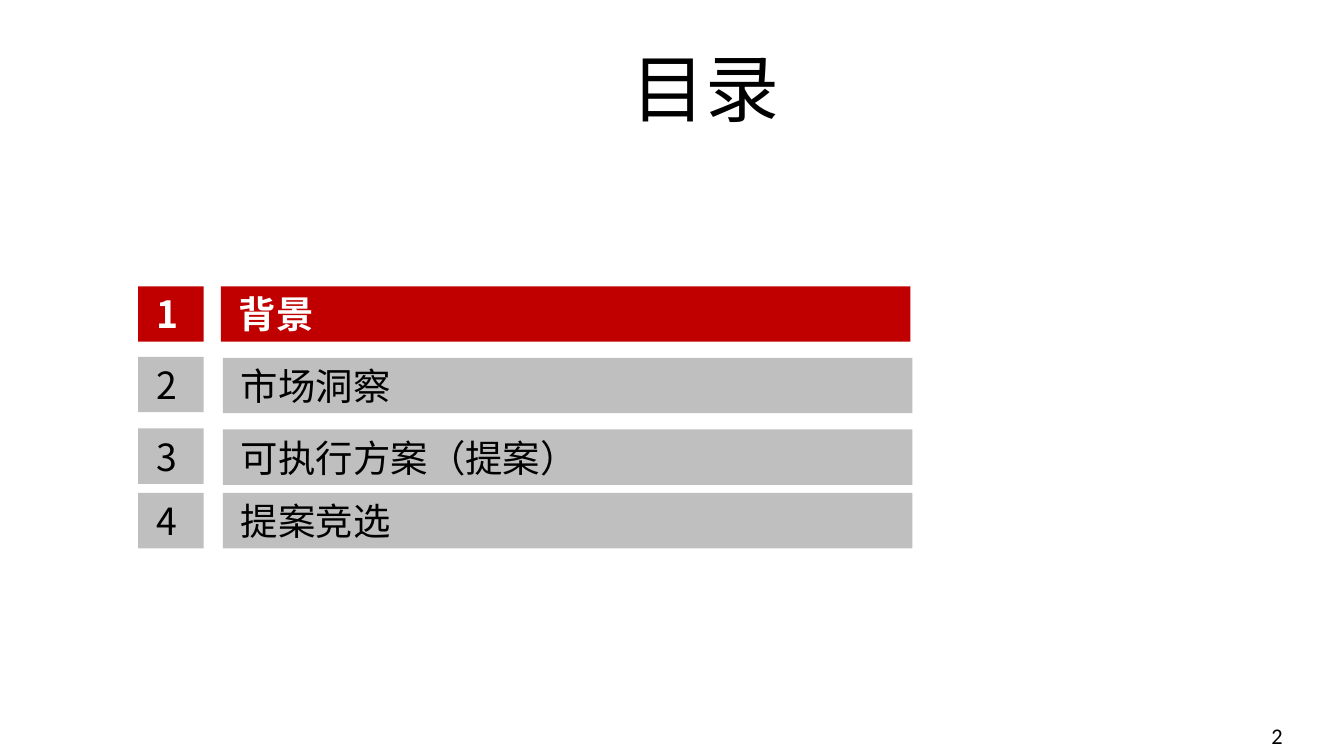
from dataclasses import dataclass
from lxml.etree import SubElement
from pptx import Presentation
from pptx.dml.color import RGBColor
from pptx.enum.shapes import MSO_SHAPE
from pptx.enum.text import MSO_ANCHOR, PP_ALIGN
from pptx.oxml.ns import qn
from pptx.util import Inches, Pt

# Content: number top, bar left, bar top, label
TITLE = "目录"
PAGE = "2"
ITEMS = [
    (2.84, 2.19, 2.84, "背景"),
    (3.54, 2.21, 3.55, "市场洞察"),
    (4.25, 2.21, 4.26, "可执行方案（提案）"),
    (4.89, 2.21, 4.89, "提案竞选"),
]
ACTIVE = 1


@dataclass(frozen=True)
class Theme:
    red: str = "C00000"
    gray: str = "BFBFBF"
    black: str = "000000"
    white: str = "FFFFFF"
    han: str = "Noto Sans CJK SC"
    latin: str = "Calibri"
    head: float = 52.8
    body: float = 26.7
    foot: float = 16


THEME = Theme()

# Grid
WIDE, HIGH = 13.33, 7.5
NUM_LEFT, NUM_WIDE = 1.37, 0.65
BAR_WIDE, ROW_HIGH = 6.84, 0.55

deck = Presentation()
deck.slide_width, deck.slide_height = Inches(WIDE), Inches(HIGH)
slide = deck.slides.add_slide(deck.slide_layouts[6])


def write(shape, text, size, face, color, inset, align,
          anchor=MSO_ANCHOR.MIDDLE, bold=False, wrap=True):
    frame = shape.text_frame
    frame.word_wrap = wrap
    frame.vertical_anchor = anchor
    (frame.margin_left, frame.margin_top,
     frame.margin_right, frame.margin_bottom) = map(Inches, inset)
    para = frame.paragraphs[0]
    para.alignment = align
    run = para.add_run()
    run.text = text
    font = run.font
    font.size, font.bold, font.name = Pt(size), bold, face
    font.color.rgb = RGBColor.from_string(color)
    SubElement(run._r.get_or_add_rPr(), qn("a:ea")).set("typeface", face)


def label(left, top, width, text, active):
    box = slide.shapes.add_shape(
        MSO_SHAPE.RECTANGLE, *map(Inches, (left, top, width, ROW_HIGH)))
    box.shadow.inherit = False
    box.fill.solid()
    box.fill.fore_color.rgb = RGBColor.from_string(
        THEME.red if active else THEME.gray)
    box.line.fill.background()
    write(box, text, THEME.body, THEME.han,
          THEME.white if active else THEME.black,
          (0.18, 0.07, 0.13, 0.07), PP_ALIGN.LEFT, bold=active, wrap=False)


# Title
head = slide.shapes.add_textbox(*map(Inches, (0.72, 0.5, 12.56, 0.73)))
write(head, TITLE, THEME.head, THEME.han, THEME.black,
      (0.1, 0.05, 0.1, 0.05), PP_ALIGN.CENTER)

# Agenda rows
for num, (num_top, bar_left, bar_top, text) in enumerate(ITEMS, 1):
    label(NUM_LEFT, num_top, NUM_WIDE, str(num), num == ACTIVE)
    label(bar_left, bar_top, BAR_WIDE, text, num == ACTIVE)

# Page number
foot = slide.shapes.add_textbox(*map(Inches, (12, 7.1, 1.33, 0.42)))
write(foot, PAGE, THEME.foot, THEME.latin, THEME.black,
      (0.11, 0.06, 0.11, 0.06), PP_ALIGN.CENTER, MSO_ANCHOR.TOP)

deck.save("out.pptx")
